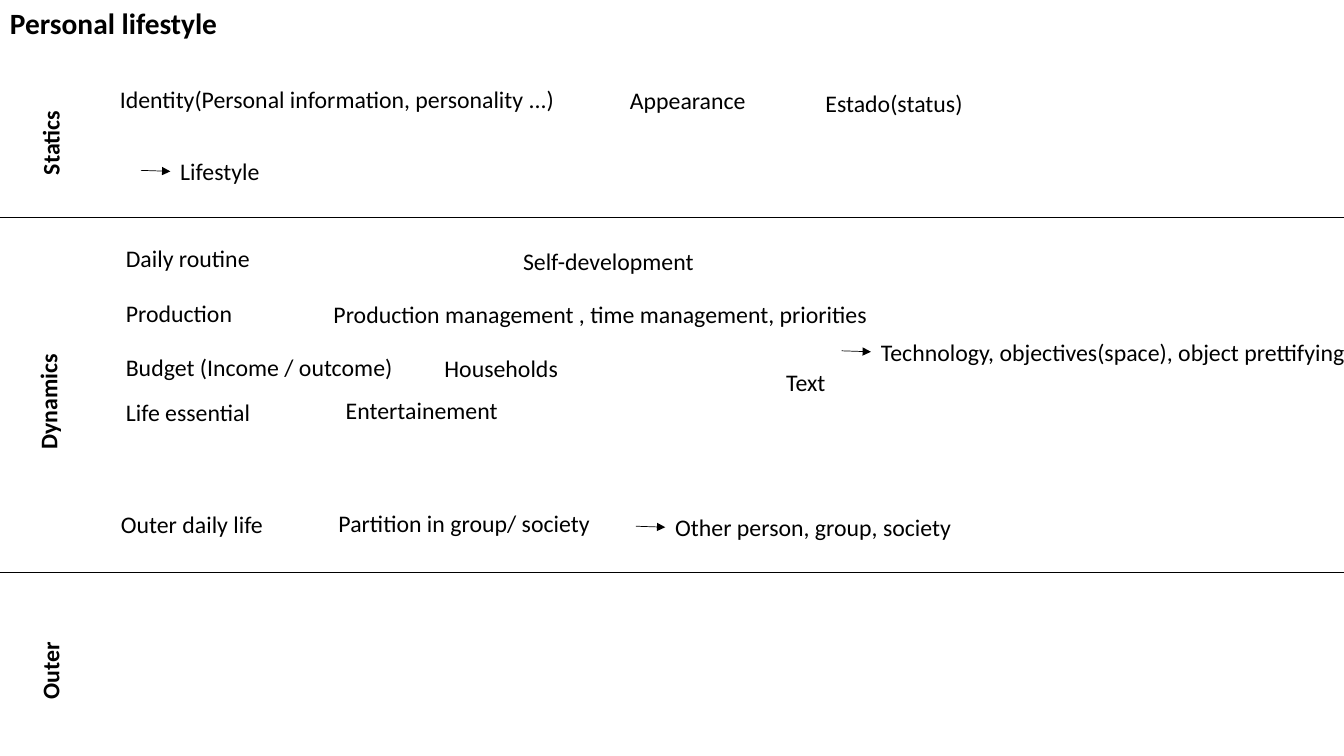
from lxml import etree
from pptx import Presentation
from pptx import util as u
from pptx.dml.color import RGBColor
from pptx.enum import shapes, text
from pptx.oxml.ns import qn

COLORS = {"ink": "000000", "paper": "FFFFFF"}
FONT = "Calibri"
WIDTH, HEIGHT = 960, 540
LABEL_HEIGHT = 28.1

# Text, left, top, width, wrap
LABELS = [
    # Statics
    ("Identity(Personal information, personality ...)", 78.5, 56.9, 327.6, False),
    ("Appearance", 442.8, 57.6, 111.6, True),
    ("Estado(status)", 582.5, 59.8, 167, True),
    # Dynamics
    ("Daily routine", 82.8, 170.6, 122.4, True),
    ("Self-development", 366.5, 172.8, 167, True),
    ("Production", 82.8, 209.5, 91.4, False),
    ("Production management , time management, priorities", 231.1, 210.2, 423.4, True),
    ("Budget (Income / outcome)", 82.8, 248.4, 221, True),
    ("Households", 310.3, 249.1, 111.6, True),
    ("Text", 554.4, 259.2, 49, True),
    ("Life essential", 82.8, 280.8, 111.6, True),
    ("Entertainement", 239.8, 279.4, 123.8, False),
    ("Outer daily life", 79.2, 360.7, 126, True),
    ("Partition in group/ society", 234.7, 360, 216, True),
]
# Text, left, top, width
ARROW_LABELS = [
    ("Lifestyle", 121.7, 108.7, 72),
    ("Technology, objectives(space), object prettifying", 622.1, 237.6, 353.5),
    ("Other person, group, society", 475.2, 362.9, 213.1),
]
# Text, left, top, width, wrap
SECTIONS = [
    ("Statics", 5.8, 87.8, 60.5, False),
    ("Dynamics", -7.2, 272.2, 83.5, False),
    ("Outer", -22.3, 434.2, 116.6, True),
]
DIVIDERS = [155.5, 409]


def add_label(parent, words, left, top, width, wrap=True, height=LABEL_HEIGHT,
              size=17, bold=False, rotation=0):
    shape = parent.add_textbox(u.Pt(left), u.Pt(top), u.Pt(width), u.Pt(height))
    shape.rotation = rotation
    frame = shape.text_frame
    frame.word_wrap = wrap
    frame.auto_size = text.MSO_AUTO_SIZE.SHAPE_TO_FIT_TEXT
    run = frame.paragraphs[0].add_run()
    run.text = words
    run.font.name = FONT
    run.font.size = u.Pt(size)
    run.font.bold = bold
    run.font.color.rgb = RGBColor.from_string(COLORS["ink"])


def add_line(parent, start, end, arrow=False):
    connector = parent.add_connector(
        shapes.MSO_CONNECTOR.STRAIGHT, *(u.Pt(value) for value in (*start, *end)))
    connector.line.color.rgb = RGBColor.from_string(COLORS["ink"])
    connector.line.width = u.Pt(0.5)
    if arrow:
        line = connector.line._get_or_add_ln()
        etree.SubElement(line, qn("a:tailEnd"), type="triangle")
    etree.SubElement(connector._element.spPr, qn("a:effectLst"))


def add_arrow_label(slide, words, left, top, width):
    group = slide.shapes.add_group_shape()
    add_label(group.shapes, words, left, top, width, wrap=False)
    add_line(group.shapes, (left - 21, top + 13), (left, top + 13.7), arrow=True)


def main():
    presentation = Presentation()
    presentation.slide_width, presentation.slide_height = u.Pt(WIDTH), u.Pt(HEIGHT)
    slide = presentation.slides.add_slide(presentation.slide_layouts[6])
    slide.background.fill.solid()
    slide.background.fill.fore_color.rgb = RGBColor.from_string(COLORS["paper"])

    # Title
    add_label(slide.shapes, "Personal lifestyle", 0, 0, 180.7,
              height=32.4, size=21, bold=True)

    # Section names and the lines between sections
    for section in SECTIONS:
        add_label(slide.shapes, *section, bold=True, rotation=270)
    for top in DIVIDERS:
        add_line(slide.shapes, (0, top), (WIDTH, top))

    # Topics
    for label in LABELS:
        add_label(slide.shapes, *label)
    for label in ARROW_LABELS:
        add_arrow_label(slide, *label)

    presentation.save("out.pptx")


if __name__ == "__main__":
    main()
